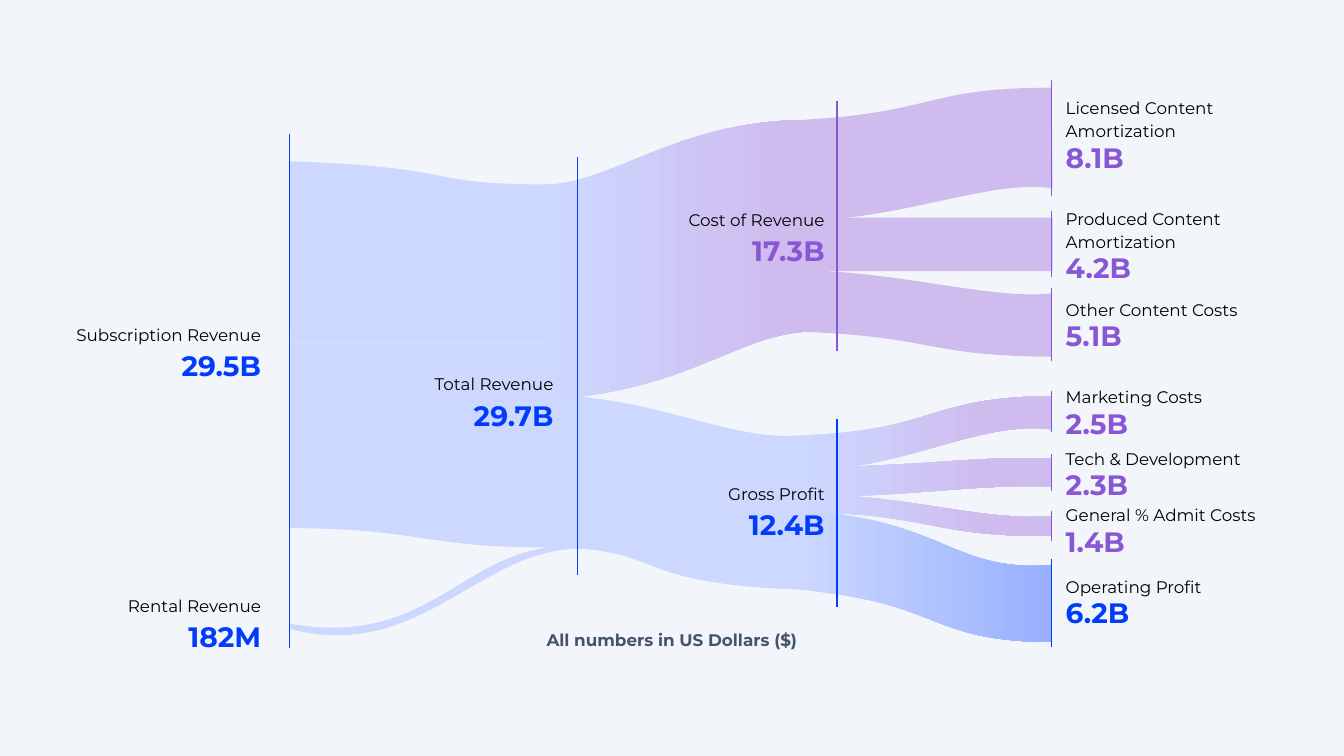
"""Builds a one-slide flow chart of yearly revenue, costs and profit."""
import pptx
import pptx.util
import pptx.dml.color
import pptx.enum.shapes
import pptx.enum.text
import pptx.oxml.ns
import lxml.etree

WIDE, HIGH = 13.33, 7.5
FONT = "Montserrat"
PAPER, BLACK, SLATE = "F2F5FA", "000000", "44546A"
BLUE, PURPLE = "013CFB", "8956D6"
SKY, LILAC, DEEP = "CCD8FF", "D0BBEF", "98B0FF"
START, TOTAL, SPLIT, END = 2.87, 5.73, 8.3, 10.43
NOTE = "All numbers in US Dollars ($)"

RIBBONS = [
    dict(top=[(7.95, 1.19), (9.32, 1.11), (9.17, 0.87), (10.43, 0.87)],
         base=[(7.93, 2.19), (8.96, 2.18), (9.84, 1.77), (10.44, 1.87)],
         left=LILAC, right=LILAC),
    dict(top=[(7.88, 2.16), (10.44, 2.16)],
         base=[(7.88, 2.69), (10.44, 2.69)], left=LILAC, right=LILAC),
    dict(top=[(7.9, 2.68), (8.93, 2.69), (9.84, 2.98), (10.43, 2.91)],
         base=[(7.91, 3.29), (9.29, 3.34), (9.16, 3.53), (10.43, 3.54)],
         left=LILAC, right=LILAC),
    dict(top=[(7.92, 4.32), (9.29, 4.28), (9.17, 3.94), (10.43, 3.93)],
         base=[(7.93, 4.66), (8.91, 4.69), (9.72, 4.16), (10.43, 4.26)],
         left=SKY, right=LILAC, stop=0.78),
    dict(top=[(7.92, 4.64), (9.29, 4.62), (9.68, 4.52), (10.44, 4.55)],
         base=[(7.93, 4.92), (8.91, 4.95), (9.71, 4.79), (10.44, 4.83)],
         left=SKY, right=LILAC, stop=0.78),
    dict(top=[(7.93, 4.91), (8.91, 4.88), (9.72, 5.18), (10.43, 5.12)],
         base=[(7.92, 5.08), (9.29, 5.1), (9.17, 5.32), (10.43, 5.32)],
         left=SKY, right=LILAC, stop=0.78),
    dict(top=[(7.93, 5.06), (9.41, 5.17), (9.42, 5.67), (10.43, 5.61)],
         base=[(7.92, 5.85), (9.38, 5.98), (9.17, 6.36), (10.43, 6.37)],
         left=SKY, right=DEEP),
    dict(top=[(2.87, 1.6), (4.62, 1.66), (4.15, 1.83), (5.43, 1.83)],
         base=[(2.88, 3.41), (5.44, 3.41)], left=SKY, right=SKY),
    dict(top=[(2.88, 3.41), (5.44, 3.41)],
         base=[(2.88, 5.24), (4.16, 5.24), (4.24, 5.44), (5.44, 5.43)],
         left=SKY, right=SKY),
    dict(top=[(5.4, 1.83), (6.1, 1.82), (6.71, 1.19), (8.02, 1.19)],
         base=[(5.42, 3.97), (6.83, 3.87), (7.28, 3.34), (7.99, 3.29)],
         left=SKY, right=LILAC, stop=0.94),
    dict(top=[(5.38, 3.92), (6.49, 3.92), (7.22, 4.38), (7.94, 4.32)],
         base=[(5.39, 5.43), (6.67, 5.43), (6.15, 5.79), (7.96, 5.85)],
         left=SKY, right=SKY),
    dict(top=[(2.88, 6.19), (4.3, 6.43), (4.59, 5.42), (5.63, 5.42)],
         base=[(2.88, 6.24), (4.21, 6.59), (4.8, 5.35), (5.87, 5.45)],
         left=SKY, right=SKY),
]

BARS = [
    (START, 1.33, 6.43, BLUE), (TOTAL, 1.56, 5.7, BLUE),
    (SPLIT, 1, 3.48, PURPLE), (SPLIT, 4.16, 6.02, BLUE),
    (END, 5.55, 6.42, BLUE), (END, 5.07, 5.37, PURPLE),
    (END, 4.5, 4.87, PURPLE), (END, 3.88, 4.29, PURPLE),
    (END, 2.86, 3.58, PURPLE), (END, 2.09, 2.75, PURPLE),
    (END, 0.79, 1.94, PURPLE),
]

SOURCES = [
    ("Subscription Revenue", "29.5B", BLUE, 2.59, 3.12, 1.87, 1.22),
    ("Rental Revenue", "182M", BLUE, 2.59, 5.81, 1.41, 1.22),
    ("Total Revenue", "29.7B", BLUE, 5.49, 3.61, 1.22, 1.22),
    ("Cost of Revenue", "17.3B", PURPLE, 8.18, 1.98, 1.44, 1.22),
    ("Gross Profit", "12.4B", BLUE, 8.18, 4.7, 1.44, 0.88),
]

RESULTS = [
    ("Operating Profit", "6.2B", BLUE, 5.36, 1.49),
    ("General % Admit Costs", "1.4B", PURPLE, 4.65, 1.96),
    ("Tech & Development", "2.3B", PURPLE, 4.09, 1.96),
    ("Marketing Costs", "2.5B", PURPLE, 3.48, 1.96),
    ("Other Content Costs", "5.1B", PURPLE, 2.61, 1.96),
    ("Produced Content Amortization", "4.2B", PURPLE, 1.94, 1.96),
    ("Licensed Content Amortization", "8.1B", PURPLE, 0.84, 1.96),
]

Inch, Pt = pptx.util.Inches, pptx.util.Pt
Kind = pptx.enum.shapes.MSO_SHAPE
Align = pptx.enum.text.PP_ALIGN
Anchor = pptx.enum.text.MSO_ANCHOR
qn = pptx.oxml.ns.qn


def tint(code):
    return pptx.dml.color.RGBColor.from_string(code)


def bend(trio):
    curve = lxml.etree.Element(qn("a:cubicBezTo"))
    trio[0].addprevious(curve)
    for line in trio:
        curve.append(line[0])
        line.getparent().remove(line)


def outline(shapes, top, base):
    dots = [(Inch(x), Inch(y)) for x, y in top + base[::-1]]
    pen = shapes.build_freeform(*dots[0])
    pen.add_line_segments(dots[1:], close=True)
    band = pen.convert_to_shape()
    lines = list(band.element.iter(qn("a:lnTo")))
    for edge, trio in ((top, lines[:3]), (base, lines[-3:])):
        if len(edge) == 4:
            bend(trio)
    return band


def ribbon(shapes, top, base, left, right, stop=1):
    if len(top) == len(base) == 2:
        (x, y), (far, low) = top[0], base[1]
        band = shapes.add_shape(Kind.RECTANGLE, Inch(x), Inch(y),
                                Inch(far - x), Inch(low - y))
    else:
        band = outline(shapes, top, base)
    band.shadow.inherit = False
    band.line.fill.background()
    if left == right:
        band.fill.solid()
        band.fill.fore_color.rgb = tint(left)
        return
    band.fill.gradient()
    band.fill.gradient_angle = 0
    for mark, code, place in zip(band.fill.gradient_stops, (left, right), (0, stop)):
        mark.color.rgb = tint(code)
        mark.position = place


def bar(shapes, x, top, base, code):
    rule = shapes.add_connector(pptx.enum.shapes.MSO_CONNECTOR.STRAIGHT,
                                Inch(x), Inch(top), Inch(x), Inch(base))
    rule.line.color.rgb = tint(code)
    rule.line.width = Pt(1)
    lxml.etree.SubElement(rule.element.spPr, qn("a:effectLst"))


def write(box, words, size, code, bold, align, side=0):
    frame = box.text_frame
    frame.word_wrap = True
    frame.margin_left = frame.margin_right = Inch(side)
    frame.margin_top = frame.margin_bottom = Inch(0.05)
    frame.vertical_anchor = Anchor.TOP
    line = frame.paragraphs[0]
    line.alignment = align
    run = line.add_run()
    run.text = words
    run.font.name, run.font.size, run.font.bold = FONT, Pt(size), bold
    run.font.color.rgb = tint(code)
    return frame


def label(shapes, name, value, code, top, tall, drop, spans, lefts, align):
    box = shapes.add_textbox(Inch(lefts[0]), Inch(top), Inch(spans[0]), Inch(tall))
    frame = write(box, name, 12, BLACK, False, align)
    frame.vertical_anchor = Anchor.BOTTOM
    frame.paragraphs[0].line_spacing = Pt(16.8)
    tile = shapes.add_shape(Kind.ROUNDED_RECTANGLE, Inch(lefts[1]),
                            Inch(top + drop), Inch(spans[1]), Inch(0.33))
    tile.adjustments[0] = 0
    tile.shadow.inherit = False
    tile.fill.background()
    tile.line.fill.background()
    write(tile, value, 20, code, True, align)


def main():
    deck = pptx.Presentation()
    deck.slide_width, deck.slide_height = Inch(WIDE), Inch(HIGH)
    slide = deck.slides.add_slide(deck.slide_layouts[6])
    slide.background.fill.solid()
    slide.background.fill.fore_color.rgb = tint(PAPER)
    shapes = slide.shapes
    for flow in RIBBONS:
        ribbon(shapes, **flow)
    for post in BARS:
        bar(shapes, *post)
    for name, value, code, edge, top, *spans in SOURCES:
        lefts = [edge - span for span in spans]
        label(shapes, name, value, code, top, 0.35, 0.29, spans, lefts, Align.RIGHT)
    for name, value, code, top, span in RESULTS:
        label(shapes, name, value, code, top, 0.61, 0.5, (span, 1.22),
              (10.57, 10.57), Align.LEFT)
    note = shapes.add_textbox(0, Inch(6.2), Inch(WIDE), Inch(0.3))
    frame = write(note, NOTE, 12, SLATE, True, Align.CENTER, 0.1)
    frame.auto_size = pptx.enum.text.MSO_AUTO_SIZE.SHAPE_TO_FIT_TEXT
    deck.save("out.pptx")


if __name__ == "__main__":
    main()
